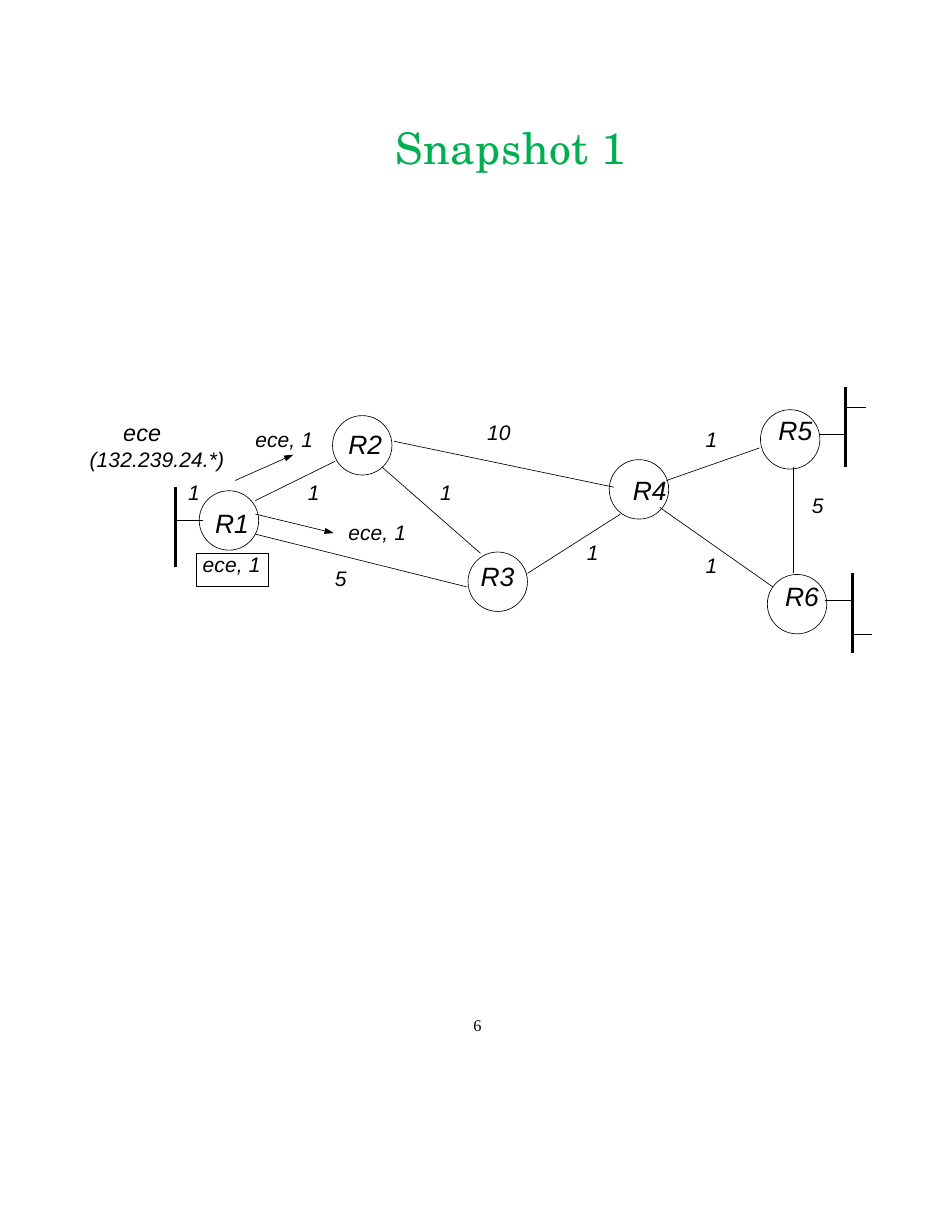
import pptx
import pptx.util
import pptx.dml.color
import pptx.enum.shapes
import pptx.enum.text
import pptx.oxml

Pt = pptx.util.Pt
BLACK = pptx.dml.color.RGBColor(0, 0, 0)
GREEN = pptx.dml.color.RGBColor(0, 0xB0, 0x50)
LEFT = pptx.enum.text.PP_ALIGN.LEFT
CENTER = pptx.enum.text.PP_ALIGN.CENTER
SHAPE = pptx.enum.shapes.MSO_SHAPE
LINK = pptx.enum.shapes.MSO_CONNECTOR.STRAIGHT
XMLNS = 'xmlns:a="http://schemas.openxmlformats.org/drawingml/2006/main"'
THIN, THICK = 0.43, 1.71
SIZE = 13.5
NODE, BAR = 38.2, 51.1

# name: centre x, centre y, label left, label top
NODES = {
    "R1": (91.2, 86.6, 81.5, 78.2),
    "R2": (176.9, 38.3, 167.2, 27),
    "R3": (264, 126, 252.2, 112),
    "R4": (354.8, 66.6, 350.1, 56.6),
    "R5": (452, 34.5, 443.7, 18.4),
    "R6": (456.4, 140.4, 448, 125),
}
LINKS = [
    ((108.2, 73.8), (159.3, 48.6), "1", (141.3, 60.2)),
    ((108.2, 95.4), (244.2, 129.3), "5", (158.6, 115.6)),
    ((197.4, 35.7), (338.6, 65.2), "10", (256.5, 22)),
    ((189.5, 52.2), (252.9, 107.7), "1", (226.2, 60.2)),
    ((283.1, 120.6), (342.9, 82.5), "1", (320.6, 99)),
    ((372.4, 60.9), (432.2, 40), "1", (396.9, 26.3)),
    ((368.1, 78.2), (440.8, 129.3), "1", (396.9, 107)),
    ((453.8, 52.2), (453.8, 120.6), "5", (465.3, 68.8)),
]
ADVERTS = [
    ((95.2, 60.9), (132.6, 44.3), (107.4, 26.3)),
    ((108.2, 82.5), (158.6, 94.7), (167.2, 86.1)),
]
LANS = [
    (57, 65.2, [(17.3, 21.6)]),
    (487.6, 1.1, [(-17.3, 30.3), (13, 13)]),
    (491.9, 120.6, [(-17.3, 17.3), (13, 38.9)]),
]


def write(shape, *lines, font="Arial", size=SIZE, color=BLACK, italic=True,
          align=LEFT, space=0.1, pitch=None, top=0):
    """Fill a shape with lines, each a string or (string, size, indent)."""
    frame = shape.text_frame
    frame.word_wrap = True
    frame.vertical_anchor = pptx.enum.text.MSO_ANCHOR.TOP
    frame.margin_left = frame.margin_right = frame.margin_bottom = 0
    frame.margin_top = Pt(top)
    for i, line in enumerate(lines):
        words, height, indent = (line, size, 0.7) if isinstance(line, str) else line
        para = frame.add_paragraph() if i else frame.paragraphs[0]
        para.alignment = align
        para._p.get_or_add_pPr().set("marL", str(Pt(indent)))
        if i:
            para.space_before = Pt(0.6)
        if pitch:
            para.line_spacing = Pt(pitch)
        run = para.add_run()
        run.text = words
        run.font.name, run.font.size = font, Pt(height)
        run.font.italic = italic
        run.font.color.rgb = color
        run._r.get_or_add_rPr().set("spc", str(round(space * 100)))


def label(slide, x, y, wide, high, *lines, **form):
    """Add a text box with formatted lines."""
    box = slide.shapes.add_textbox(Pt(x), Pt(y), Pt(wide), Pt(high))
    write(box, *lines, **form)


def line(slide, start, end, width=THIN, arrow=False):
    """Draw a straight line, with an arrowhead at its end if asked."""
    link = slide.shapes.add_connector(LINK, *map(Pt, start + end))
    link.line.color.rgb = BLACK
    link.line.width = Pt(width)
    if arrow:
        link.line._get_or_add_ln().append(pptx.oxml.parse_xml(
            f'<a:tailEnd {XMLNS} type="triangle" w="sm" len="med"/>'))
    link._element.spPr.append(pptx.oxml.parse_xml(f"<a:effectLst {XMLNS}/>"))


def frame(slide, kind, x, y, wide, high):
    """Draw an unfilled shape with a thin outline."""
    shape = slide.shapes.add_shape(kind, Pt(x), Pt(y), Pt(wide), Pt(high))
    shape.shadow.inherit = False
    shape.fill.background()
    shape.line.color.rgb = BLACK
    shape.line.width = Pt(THIN)
    return shape


def network(slide, left, top):
    """Draw routers, weighted links, networks and route adverts."""
    def at(point):
        """Shift a point into the region."""
        return left + point[0], top + point[1]

    for name, (x, y, tx, ty) in NODES.items():
        frame(slide, SHAPE.OVAL, *at((x - NODE / 2, y - NODE / 2)), NODE, NODE)
        label(slide, *at((tx, ty)), 24, 21.6, name, size=17, space=0)
    for start, end, cost, spot in LINKS:
        line(slide, at(start), at(end))
        label(slide, *at(spot), 9 * len(cost), 17.3, cost)
    for start, end, spot in ADVERTS:
        line(slide, at(start), at(end), arrow=True)
        label(slide, *at(spot), 40, 17.3, "ece, 1")
    for x, y, stubs in LANS:
        line(slide, at((x, y)), at((x, y + BAR)), THICK)
        for dx, dy in stubs:
            line(slide, at((x, y + dy)), at((x + dx, y + dy)))
    label(slide, *at((64.2, 60.2)), 9, 17.3, "1")
    label(slide, *at((0.9, 20.6)), 90, 36,
          ("ece", 15, 22.3), ("(132.239.24.*)", SIZE, 0.7))
    table = frame(slide, SHAPE.RECTANGLE, *at((70, 107.7)), 46.8, 21.6)
    write(table, ("ece, 1", SIZE, 4.3), pitch=15.3)


def title(slide, x, y, wide, high):
    """Place the slide heading."""
    label(slide, x, y, wide, high, "Snapshot 1", font="TeX Gyre Schola", size=28,
          color=GREEN, italic=False, align=CENTER, space=0.5)


def footer(slide, x, y, wide, high):
    """Place the page number."""
    label(slide, x, y, wide, high, ("6", 10.5, 2), font="Times New Roman",
          italic=False, space=-0.1, pitch=12.3, top=0.9)


def main():
    """Build and save the slide."""
    deck = pptx.Presentation()
    deck.slide_width, deck.slide_height = Pt(612), Pt(792)
    slide = deck.slides.add_slide(deck.slide_layouts[6])
    network(slide, 56, 248)
    title(slide, 108, 77.8, 440, 33.8)
    footer(slide, 302.4, 652.3, 14.4, 13)
    deck.save("out.pptx")


if __name__ == "__main__":
    main()
